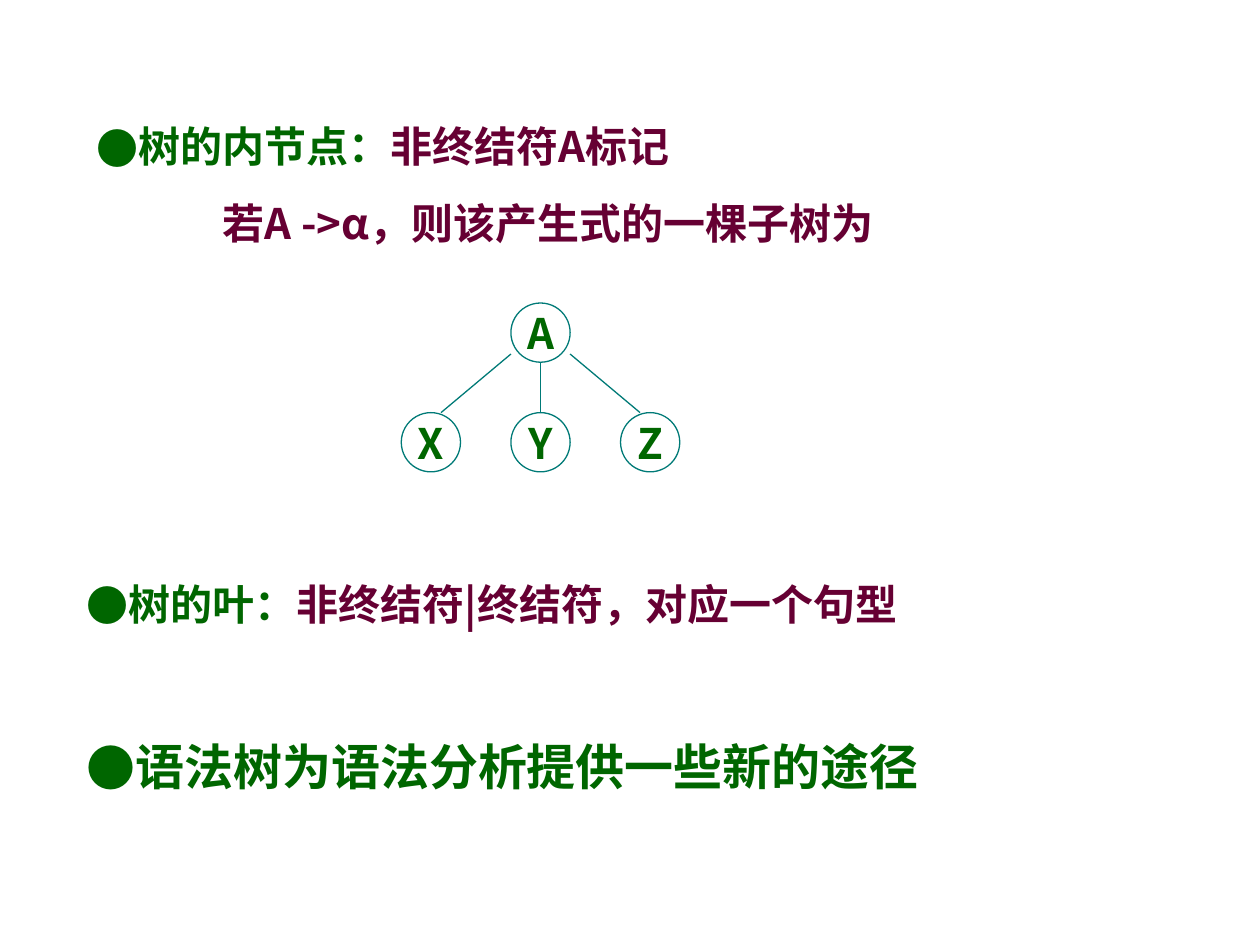
from lxml import etree
from pptx import Presentation
from pptx import util as u
from pptx.dml.color import RGBColor
from pptx.enum import shapes, text
from pptx.oxml.ns import qn

GREEN = RGBColor(0x00, 0x66, 0x00)
WINE = RGBColor(0x66, 0x00, 0x33)
TEAL = RGBColor(0x00, 0x7A, 0x77)
FONT = "Noto Sans CJK JP"
BLANK_LAYOUT = 6

# Tree grid, in inches: the root sits in the middle column of the top row
ROOT_X, ROOT_Y = 4.29, 2.64
COLUMN, ROW = 0.87, 0.87
NODE = 0.47


def add_run(paragraph, words, size, color):
    """Add a bold run, with the font set for Latin and East Asian script."""
    run = paragraph.add_run()
    run.text = words
    for name, value in {"name": FONT, "size": u.Pt(size), "bold": True}.items():
        setattr(run.font, name, value)
    run.font.color.rgb = color
    east_asian = etree.SubElement(run.font._element, qn("a:ea"))
    east_asian.set("typeface", FONT)


def set_bullet(paragraph):
    """Give the paragraph a green dot that stands right before its text."""
    props = paragraph._p.get_or_add_pPr()
    props.set("marL", "0")
    props.set("indent", "0")
    color = etree.SubElement(props, qn("a:buClr"))
    etree.SubElement(color, qn("a:srgbClr")).set("val", str(GREEN))
    etree.SubElement(props, qn("a:buFont")).set("typeface", FONT)
    etree.SubElement(props, qn("a:buChar")).set("char", "●")


def set_tab(paragraph, position):
    """Set one left tab stop, in inches."""
    props = paragraph._p.get_or_add_pPr()
    stop = etree.SubElement(etree.SubElement(props, qn("a:tabLst")), qn("a:tab"))
    stop.set("pos", str(u.Inches(position)))
    stop.set("algn", "l")


def add_statements(slide, box, statements):
    """Add a text box; each statement is (space before, bulleted, size, runs)."""
    frame = slide.shapes.add_textbox(*map(u.Inches, box)).text_frame
    frame.word_wrap = True
    for index, (space, bulleted, size, runs) in enumerate(statements):
        paragraph = frame.add_paragraph() if index else frame.paragraphs[0]
        paragraph.space_before = u.Pt(space)
        if bulleted:
            set_bullet(paragraph)
        else:
            set_tab(paragraph, 1)
        for words, color in runs:
            add_run(paragraph, words, size, color)


def add_node(tree, symbol, column, row):
    """Add a circled grammar symbol on the tree grid."""
    left = ROOT_X + column * COLUMN - NODE / 2
    top = ROOT_Y + row * ROW - NODE / 2
    node = tree.shapes.add_shape(
        shapes.MSO_SHAPE.OVAL, *map(u.Inches, (left, top, NODE, NODE)))
    node.shadow.inherit = False
    node.fill.background()
    node.line.color.rgb = TEAL
    node.line.width = u.Pt(0.74)
    frame = node.text_frame
    frame.word_wrap = False
    frame.vertical_anchor = text.MSO_ANCHOR.MIDDLE
    paragraph = frame.paragraphs[0]
    paragraph.alignment = text.PP_ALIGN.CENTER
    add_run(paragraph, symbol, 24, GREEN)


def add_branch(tree, column):
    """Join the root to the child in the given column (-1, 0 or 1)."""
    start_y = ROOT_Y + (0.17 if column else NODE / 2)
    ends = (ROOT_X + column * NODE / 2, start_y,
            ROOT_X + column * 0.79, ROOT_Y + ROW - NODE / 2)
    branch = tree.shapes.add_connector(
        shapes.MSO_CONNECTOR.STRAIGHT, *map(u.Inches, ends))
    branch.line.color.rgb = TEAL
    branch.line.width = u.Pt(0.74)
    etree.SubElement(branch._element.spPr, qn("a:effectLst"))


def add_tree(slide):
    """Draw the subtree of one production as a group."""
    tree = slide.shapes.add_group_shape()
    add_node(tree, "A", 0, 0)
    children = list(zip("XYZ", (-1, 0, 1)))
    for symbol, column in children:
        add_node(tree, symbol, column, 1)
    for _, column in children:
        add_branch(tree, column)


def main():
    """Build the slide on syntax trees."""
    deck = Presentation()
    deck.slide_width, deck.slide_height = u.Inches(10), u.Inches(7.5)
    slide = deck.slides.add_slide(deck.slide_layouts[BLANK_LAYOUT])
    add_statements(slide, (0.59, 4.54, 8.27, 1.82), [
        (15, True, 24, [("树的叶：", GREEN),
                        ("非终结符|终结符，对应一个句型", WINE)]),
        (61.4, True, 28, [("语法树为语法分析提供一些新的途径", GREEN)]),
    ])
    add_statements(slide, (0.67, 0.91, 8.27, 1.11), [
        (15, True, 24, [("树的内节点：", GREEN), ("非终结符A标记", WINE)]),
        (15, False, 24, [("\t若A ->α，则该产生式的一棵子树为", WINE)]),
    ])
    add_tree(slide)
    deck.save("out.pptx")


main()
